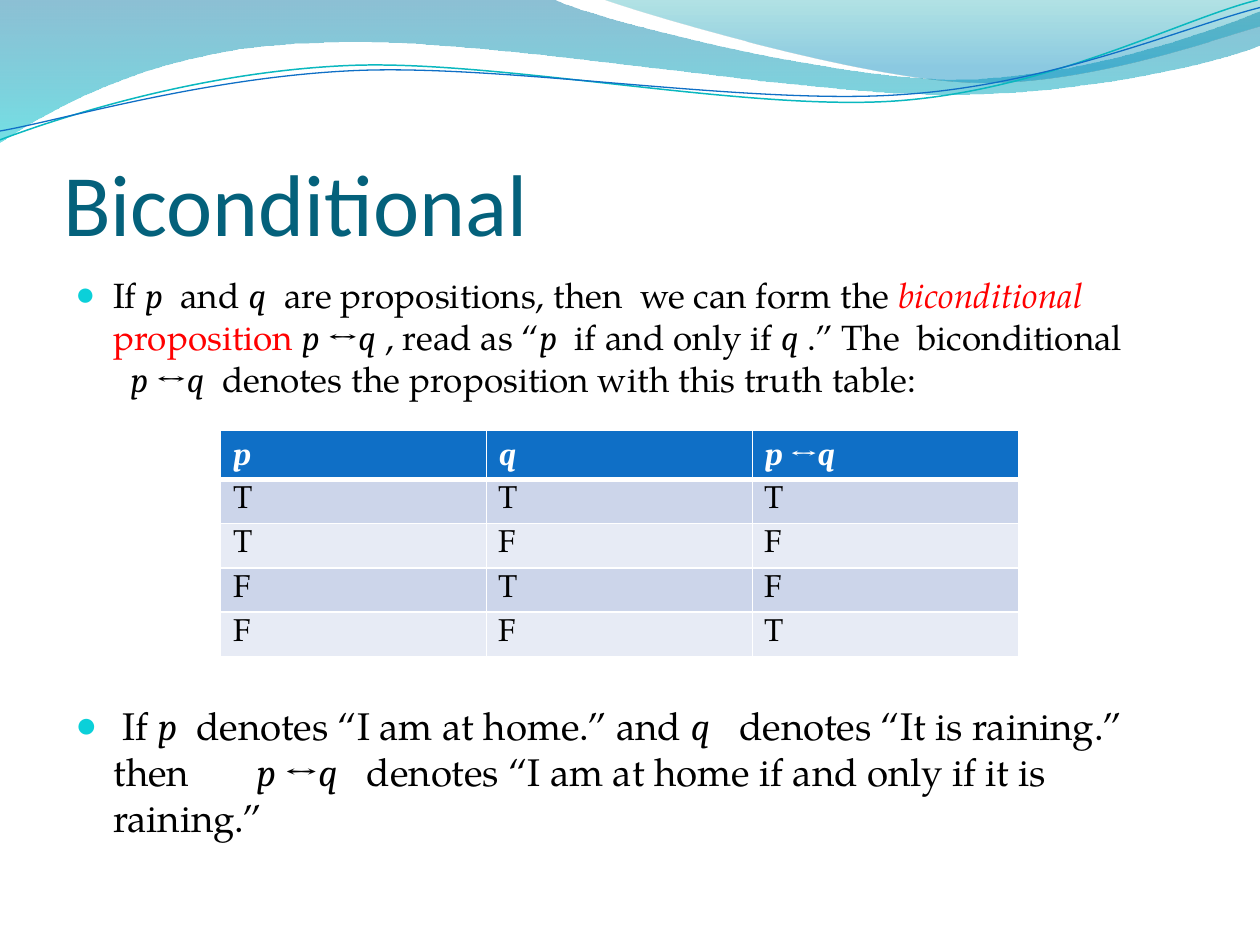
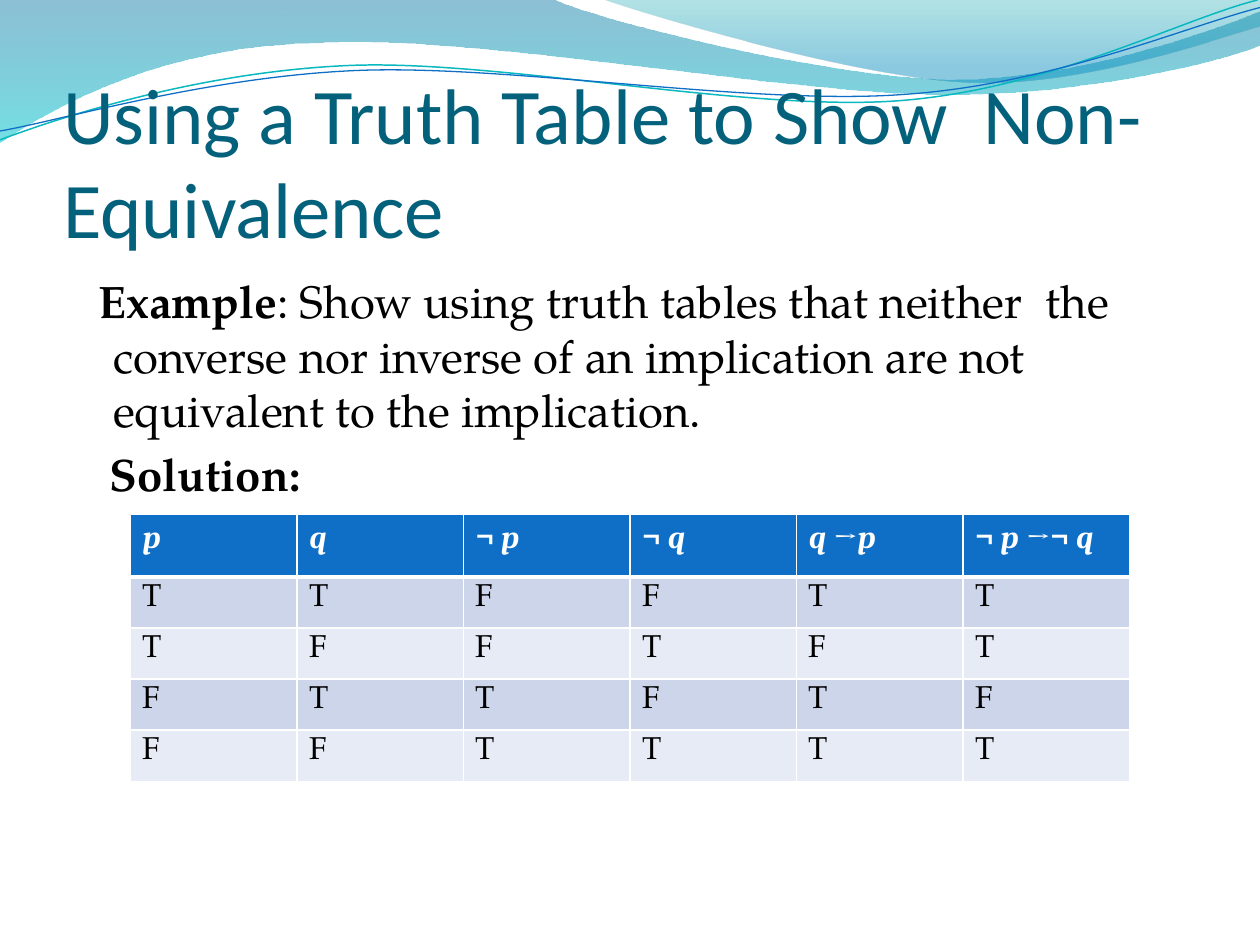
import collections
import dataclasses

import lxml.etree
import pptx
import pptx.dml.color
import pptx.enum.text
import pptx.oxml.ns
import pptx.util

Cm = pptx.util.Cm
Pt = pptx.util.Pt
qn = pptx.oxml.ns.qn
Box = collections.namedtuple("Box", "left top width height")


@dataclasses.dataclass(frozen=True)
class Theme:
    heading_font: str = "Calibri"
    body_font: str = "TeX Gyre Pagella"
    math_font: str = "Cambria"
    bullet_font: str = "Arial"
    title: str = "04617B"
    text: str = "000000"
    term: str = "FF0000"
    bullet: str = "0BD0D9"
    header: str = "0F6FC6"
    inverse: str = "FFFFFF"
    bands: tuple = ("CCD5EA", "E7EBF5")
    table_size: int = 18


THEME = Theme()

STYLES = {
    "plain": ({"name": THEME.body_font}, THEME.text),
    "bold": ({"name": THEME.body_font, "bold": True}, THEME.text),
    "term": ({"name": THEME.body_font, "italic": True}, THEME.term),
    "alert": ({"name": THEME.body_font}, THEME.term),
    "math": ({"name": THEME.math_font, "italic": True}, THEME.text),
    "symbol": ({"name": THEME.math_font}, THEME.text),
    "head": ({"name": THEME.math_font, "bold": True, "italic": True}, THEME.inverse),
    "head_symbol": ({"name": THEME.math_font, "bold": True}, THEME.inverse),
    "title": ({"name": THEME.heading_font}, THEME.title),
}

WAVE_FILLS = [
    ((0, 0),
     [(44, 0), (47.6, 1.7, 66.4, 6.3, 75.8, 6.3), (85.3, 6.3, 95.8, 2.6, 100, 0.9),
      (100, 3.6), (98.3, 4.4, 87, 7.6, 74.6, 7.5), (62.2, 7.5, 38.2, 2.8, 25.7, 3.4),
      (12.9, 3.6, 4.6, 8.3, 0, 11.3)],
     [(0, "0074A1", 45), (1, "00C6CF", 55)]),
    ((47.9, 0),
     [(50.9, 1.1, 68.2, 6.2, 76.9, 6.5), (85.6, 6.9, 96.1, 3.2, 100, 2.1), (100, 0)],
     [(0, "00A1A9", 30), (0.8, "008BBF", 45)]),
]
WAVE_LINES = [
    ((0, 11.1),
     [(4.8, 9.3, 15.8, 5.7, 27.7, 5.2), (39.5, 4.7, 59.3, 8.9, 71.3, 8),
      (83.3, 7.1, 93.8, 1.5, 99.8, 0)],
     "0AB8BF", 0.85),
    ((0, 10.4),
     [(4.7, 9.6, 16.4, 6.1, 28.3, 5.6), (40.3, 5.1, 59.7, 8.4, 71.7, 7.5),
      (83.6, 6.7, 94.1, 2.1, 100, 0.6)],
     "0F6FC6", 0.75),
]


def color(value):
    return pptx.dml.color.RGBColor.from_string(value)


def apply(target, values):
    for name, value in values.items():
        setattr(target, name, value)


def add_xml(parent, tag, **attributes):
    return lxml.etree.SubElement(parent, qn(tag), attributes)


def add_run(paragraph, style, text, size):
    run = paragraph.add_run()
    run.text = text
    values, rgb = STYLES[style]
    apply(run.font, {"size": Pt(size), "bold": False, "italic": False, **values})
    run.font.color.rgb = color(rgb)
    return run


def add_wave(slide, box, start, segments, close):
    def locate(x, y):
        return round(box.left + x * box.width / 100), round(box.top + y * box.width / 100)

    builder = slide.shapes.build_freeform(*locate(*start))
    builder.add_line_segments([locate(*segment[-2:]) for segment in segments], close=close)
    shape = builder.convert_to_shape()
    shape.shadow.inherit = False
    for line, segment in zip(list(shape.element.iter(qn("a:lnTo"))), segments):
        if len(segment) == 6:
            curve = lxml.etree.Element(qn("a:cubicBezTo"))
            for pair in zip(segment[::2], segment[1::2]):
                x, y = locate(*pair)
                add_xml(curve, "a:pt", x=str(x - shape.left), y=str(y - shape.top))
            line.getparent().replace(line, curve)
    return shape


def add_waves(slide, box):
    waves = []
    for start, segments, stops in WAVE_FILLS:
        shape = add_wave(slide, box, start, segments, True)
        shape.line.fill.background()
        shape.fill.gradient()
        shape.fill.gradient_angle = 270
        for stop, (position, rgb, _) in zip(shape.fill.gradient_stops, stops):
            stop.position = position
            stop.color.rgb = color(rgb)
        for node, (_, _, opacity) in zip(shape.element.iter(qn("a:srgbClr")), stops):
            add_xml(node, "a:alpha", val=str(opacity * 1000))
        waves.append(shape)
    for start, segments, rgb, width in WAVE_LINES:
        shape = add_wave(slide, box, start, segments, False)
        shape.fill.background()
        shape.line.color.rgb = color(rgb)
        shape.line.width = Pt(width)
        waves.append(shape)
    return waves


def move_to_layout(layout, shapes):
    for index, shape in enumerate(shapes):
        next(shape.element.iter(qn("p:cNvPr"))).set("id", str(101 + index))
        layout.shapes.element.insert(2 + index, shape.element)


def place_title(slide, box, text, size):
    title = slide.shapes.title
    apply(title, box._asdict())
    frame = title.text_frame
    apply(frame, {
        "margin_left": 0, "margin_right": 0, "margin_top": Cm(0.13), "margin_bottom": 0,
        "word_wrap": True,
        "auto_size": pptx.enum.text.MSO_AUTO_SIZE.NONE,
        "vertical_anchor": pptx.enum.text.MSO_ANCHOR.BOTTOM,
    })
    paragraph = frame.paragraphs[0]
    paragraph.alignment = pptx.enum.text.PP_ALIGN.LEFT
    add_run(paragraph, "title", text, size)


def add_body(slide, box, items):
    frame = slide.shapes.add_textbox(*box).text_frame
    frame.word_wrap = True
    for index, item in enumerate(items):
        paragraph = frame.add_paragraph() if index else frame.paragraphs[0]
        paragraph.space_before = Pt(item["before"])
        properties = paragraph._p.get_or_add_pPr()
        properties.set("marL", str(Cm(0.76)))
        properties.set("indent", str(Cm(item["indent"])))
        if item["bullet"]:
            add_xml(add_xml(properties, "a:buClr"), "a:srgbClr", val=THEME.bullet)
            add_xml(properties, "a:buSzPct", val="95000")
            add_xml(properties, "a:buFont", typeface=THEME.bullet_font)
            add_xml(properties, "a:buChar", char="●")
        for style, content in item["runs"]:
            if style == "break":
                paragraph.add_line_break()
            elif style == "gap":
                run = add_run(paragraph, "plain", " ", item["size"])
                run._r.get_or_add_rPr().set("spc", str(content * 100))
            else:
                add_run(paragraph, style, content, item["size"])


def format_cell(cell, fill, top_width, bottom_width):
    apply(cell, {"margin_left": Cm(0.25), "margin_right": Cm(0.25),
                 "margin_top": Cm(0.13), "margin_bottom": 0})
    properties = cell._tc.get_or_add_tcPr()
    for side, width in zip("LRTB", (1, 1, top_width, bottom_width)):
        line = add_xml(properties, "a:ln" + side, w=str(Pt(width)))
        add_xml(add_xml(line, "a:solidFill"), "a:srgbClr", val=THEME.inverse)
    cell.fill.solid()
    cell.fill.fore_color.rgb = color(fill)


def add_truth_table(slide, box, headers, rows, header_height):
    table = slide.shapes.add_table(len(rows) + 1, len(headers), *box).table
    table.horz_banding = False
    for column in table.columns:
        column.width = int(box.width / len(headers))
    for index, row in enumerate(table.rows):
        row.height = header_height if index == 0 else int((box.height - header_height) / len(rows))
    contents = [headers] + [[[("plain", value)] for value in row] for row in rows]
    for row_index, row in enumerate(contents):
        header = row_index == 0
        fill = THEME.header if header else THEME.bands[(row_index - 1) % 2]
        for column_index, runs in enumerate(row):
            cell = table.cell(row_index, column_index)
            format_cell(cell, fill, 3 if row_index == 1 else 1, 3 if header else 1)
            for style, text in runs:
                add_run(cell.text_frame.paragraphs[0], style, text, THEME.table_size)


def fill_truth_slide(slide, title, title_size, items, table):
    place_title(slide, Box(Cm(1.27), Cm(1.96), Cm(22.86), Cm(3.17)), title, title_size)
    add_body(slide, Box(Cm(1.27), Cm(5.38), Cm(22.86), Cm(12.2)), items)
    add_truth_table(slide, **table)


def main():
    presentation = pptx.Presentation()
    presentation.slide_width, presentation.slide_height = Cm(25.4), Cm(19.05)
    layout = presentation.slide_layouts[5]
    definition, example = [presentation.slides.add_slide(layout) for _ in range(2)]
    band = Box(0, 0, presentation.slide_width, Cm(2.9))
    move_to_layout(layout, add_waves(definition, band))

    p, q = ("math", "p"), ("math", "q")
    head_p, head_q = ("head", "p"), ("head", "q")
    negation = ("head_symbol", "¬ ")
    biconditional = [("math", "p "), ("symbol", "↔"), q]

    fill_truth_slide(
        definition, "Biconditional", 50,
        [
            {"size": 20, "before": 3.5, "indent": -0.76, "bullet": True, "runs": [
                ("plain", "If "), p, ("plain", "  and "), q,
                ("plain", "  are propositions, then  we can form the "),
                ("term", "biconditional "), ("alert", "proposition "), *biconditional,
                ("plain", " , read as “"), p, ("plain", "  if and only if "), q,
                ("plain", " .” The  biconditional"), ("break", None), ("gap", 5),
                *biconditional,
                ("plain", "  denotes the proposition with this truth table:")]},
            {"size": 22, "before": 173, "indent": -0.76, "bullet": True, "runs": [
                ("plain", " If "), p, ("plain", "  denotes “I am at home.” and "), q,
                ("plain", "   denotes “It is raining.” then"), ("gap", 33), *biconditional,
                ("plain", "   denotes “I am at home if and only if it is raining.”")]},
        ],
        {"box": Box(Cm(4.45), Cm(8.68), Cm(16.08), Cm(4.54)),
         "headers": [[head_p], [head_q], [("head", "p "), ("head_symbol", "↔"), head_q]],
         "rows": ["TTT", "TFF", "FTF", "FFT"], "header_height": Cm(0.98)})

    fill_truth_slide(
        example, "Using a Truth Table to Show  Non-Equivalence", 45,
        [
            {"size": 26, "before": 5, "indent": -0.29, "bullet": False, "runs": [
                ("bold", "Example"),
                ("plain", ": Show using truth tables that neither  the converse nor inverse of "
                          "an implication are not equivalent to the implication.")]},
            {"size": 26, "before": 5.2, "indent": -0.07, "bullet": False, "runs": [
                ("bold", "Solution:")]},
        ],
        {"box": Box(Cm(2.63), Cm(10.36), Cm(20.14), Cm(5.39)),
         "headers": [[head_p], [head_q], [negation, head_p], [negation, head_q],
                     [("head", "q "), ("head_symbol", "→"), head_p],
                     [negation, ("head", "p "), ("head_symbol", "→¬ "), head_q]],
         "rows": ["TTFFTT", "TFFTFT", "FTTFTF", "FFTTTT"], "header_height": Cm(1.27)})

    presentation.save("out.pptx")


if __name__ == "__main__":
    main()
